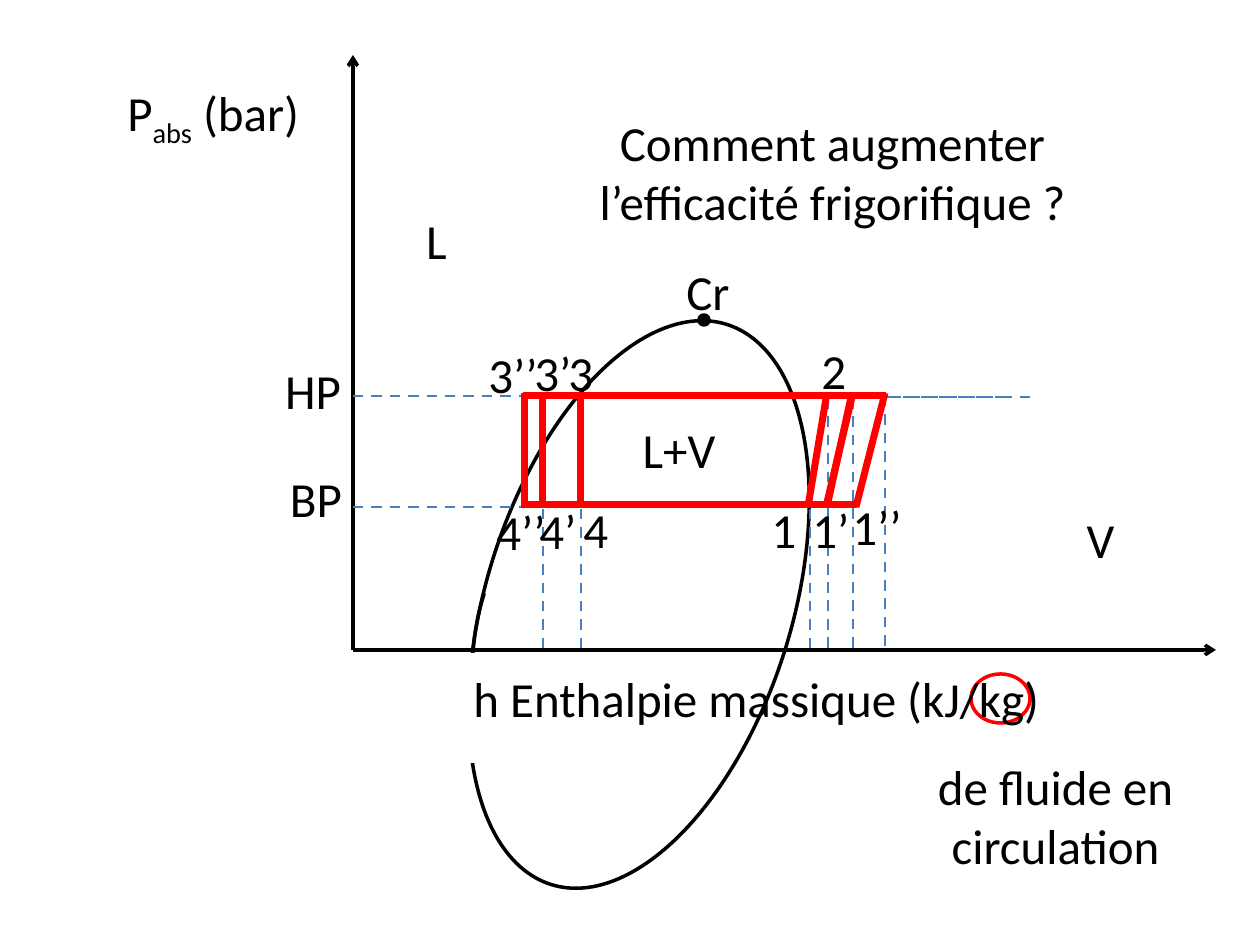
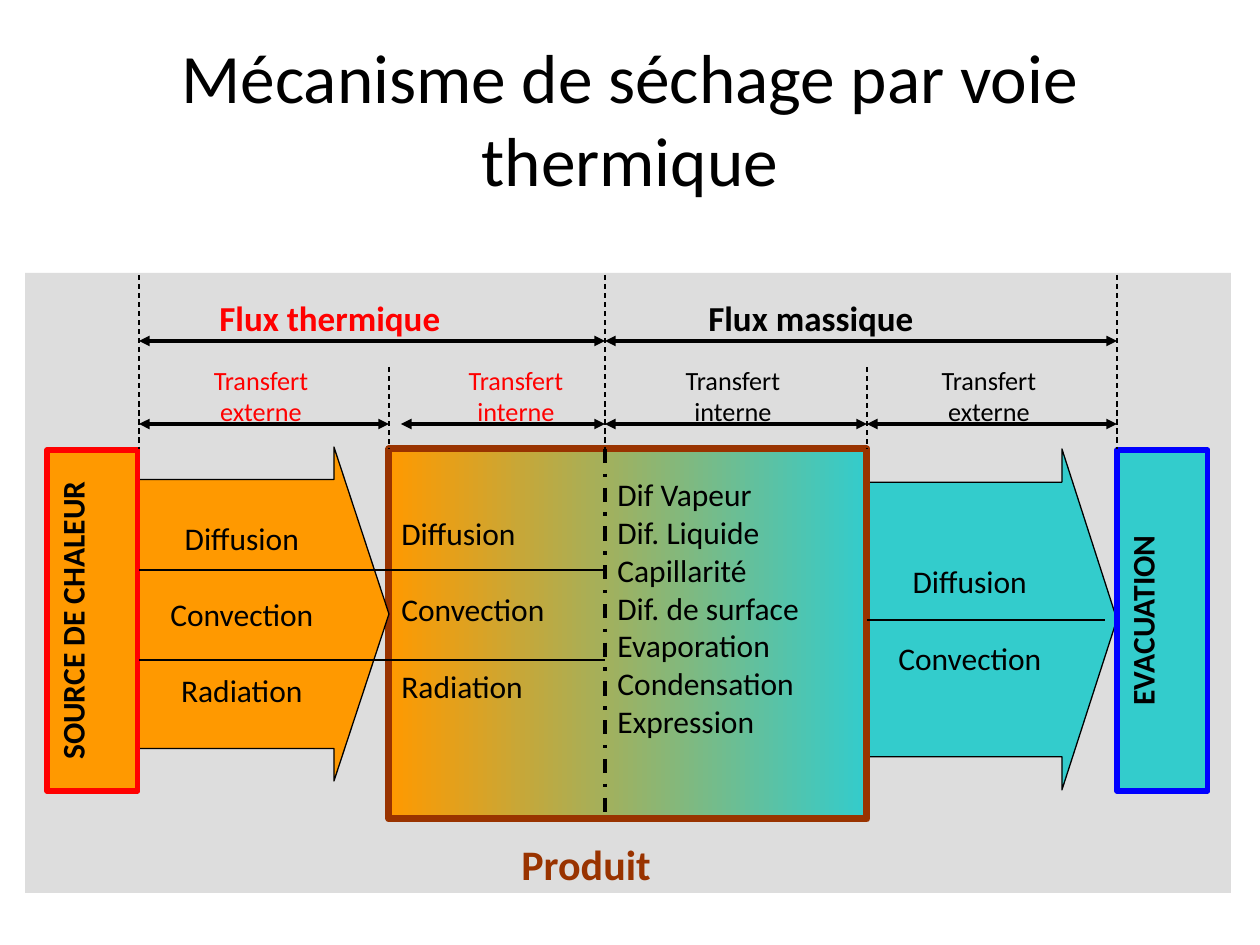
from lxml.etree import SubElement
from pptx import Presentation
from pptx.dml.color import RGBColor
from pptx.enum.dml import MSO_LINE
from pptx.enum.shapes import MSO_CONNECTOR, MSO_SHAPE
from pptx.enum.text import MSO_ANCHOR, MSO_AUTO_SIZE, PP_ALIGN
from pptx.oxml.ns import qn
from pptx.util import Inches, Pt

PX = 7257  # EMU in one px, at 126 px to the inch
FONT = "Calibri"
BLACK, WHITE, RED = "000000", "FFFFFF", "FF0000"
BLUE, GREY, BROWN = "4B7EBC", "DDDDDD", "993300"
ORANGE, TURQUOISE, DEEP_BLUE = "FF9900", "33CCCC", "0000FF"
LEFT, CENTER = PP_ALIGN.LEFT, PP_ALIGN.CENTER
color = RGBColor.from_string


def write(shape, lines, size, ink=BLACK, bold=False, align=LEFT,
          anchor=MSO_ANCHOR.TOP, wrap=True, gap=0):
    """Fill a shape with paragraphs; text between underscores is a subscript."""
    frame = shape.text_frame
    frame.word_wrap = wrap
    frame.auto_size = MSO_AUTO_SIZE.NONE
    frame.vertical_anchor = anchor
    for number, line in enumerate(lines):
        para = frame.add_paragraph() if number else frame.paragraphs[0]
        para.alignment = align
        para.space_before = Pt(gap if number else 0)
        for index, piece in enumerate(line.split("_")):
            span = para.add_run()
            span.text = piece
            span.font.name = FONT
            span.font.size = Pt(size)
            span.font.bold = bold
            span.font.color.rgb = color(ink)
            if index % 2:
                span.font._element.set("baseline", "-25000")


def draw_line(page, start, end, ink, width, dash=None, head=None, tail=None):
    points = [PX * value for value in (*start, *end)]
    connector = page.shapes.add_connector(MSO_CONNECTOR.STRAIGHT, *points)
    connector.line.color.rgb = color(ink)
    connector.line.width = Pt(width)
    if dash:
        connector.line.dash_style = dash
    for tag, kind in (("a:headEnd", head), ("a:tailEnd", tail)):
        if kind:
            SubElement(connector.get_or_add_ln(), qn(tag)).set("type", kind)
    SubElement(connector._element.spPr, qn("a:effectLst"))


deck = Presentation()
deck.slide_width = Inches(10)
deck.slide_height = Inches(7.5)

# Slide 1: pressure-enthalpy diagram
page = deck.slides.add_slide(deck.slide_layouts[6])
AXIS_X, AXIS_Y = 353, 650
HP_Y, BP_Y = 396, 505

draw_line(page, (885, HP_Y), (885, AXIS_Y), BLUE, 1.5, MSO_LINE.DASH)

# kind, position, rotation, fill, outline
diagram_shapes = [
    (MSO_SHAPE.OVAL, (486, 311, 306, 587), 17.4, None, BLACK),
    (MSO_SHAPE.ARC, (415, 544, 273, 141), 287.5, None, BLACK),
    (MSO_SHAPE.RECTANGLE, (422, 653, 110, 110), 0, WHITE, None),
    (MSO_SHAPE.OVAL, (699, 315, 10, 10), 0, BLACK, BLACK),
    (MSO_SHAPE.OVAL, (971, 674, 59, 49), 0, None, RED),
]
for kind, at, rotation, fill, outline in diagram_shapes:
    shape = page.shapes.add_shape(kind, *(PX * value for value in at))
    shape.shadow.inherit = False
    shape.rotation = rotation
    if kind == MSO_SHAPE.ARC:
        shape.adjustments[0] = 108
        shape.adjustments[1] = 162
    if fill:
        shape.fill.solid()
        shape.fill.fore_color.rgb = color(fill)
    else:
        shape.fill.background()
    if outline:
        shape.line.color.rgb = color(outline)
        shape.line.width = Pt(2)
    else:
        shape.line.fill.background()

draw_line(page, (AXIS_X, AXIS_Y), (1216, AXIS_Y), BLACK, 2, tail="arrow")
draw_line(page, (AXIS_X, AXIS_Y), (AXIS_X, 55), BLACK, 2, tail="arrow")

guides = [((AXIS_X, y), (x, y)) for y in (HP_Y, BP_Y + 2) for x in (581, 530)]
guides += [((x, HP_Y + 1), (x + 179, HP_Y + 1)) for x in (829, 854)]
guides += [((x, HP_Y + 2), (x, AXIS_Y)) for x in (828, 853)]
guides += [((x, BP_Y + 4), (x, AXIS_Y)) for x in (543, 581, 810, 828)]
for start, end in guides:
    draw_line(page, start, end, BLUE, 1.5, MSO_LINE.DASH)

cycles = [(581, 827, 808), (581, 853, 826), (543, 852, 827), (525, 885, 856)]
for left, outlet, inlet in cycles:
    draw_line(page, (left - 2, HP_Y), (outlet + 1, HP_Y), RED, 4)
    draw_line(page, (left - 2, BP_Y), (inlet + 1, BP_Y), RED, 4)
    draw_line(page, (left, HP_Y - 3), (left, BP_Y + 3), RED, 4)
    draw_line(page, (outlet, HP_Y - 3), (inlet, BP_Y + 2), RED, 4)

diagram_labels = [
    ("P_abs_ (bar)", (115, 76, 228, 72), LEFT),
    ("h Enthalpie massique (kJ/kg)", (461, 662, 625, 72), LEFT),
    ("L+V", (620, 413, 118, 72), CENTER),
    ("L", (402, 204, 69, 72), CENTER),
    ("V", (1066, 503, 69, 72), CENTER),
    ("HP", (263, 354, 100, 72), CENTER),
    ("BP", (266, 462, 100, 72), CENTER),
    ("Cr", (674, 255, 69, 72), LEFT),
    ("Comment augmenter l’efficacité frigorifique ?", (520, 106, 625, 131), CENTER),
    ("de fluide en circulation", (907, 750, 297, 131), CENTER),
    ("1", (759, 493, 49, 72), LEFT),
    ("1’", (800, 493, 69, 72), LEFT),
    ("1’’", (840, 490, 79, 72), LEFT),
    ("2", (809, 334, 49, 72), LEFT),
    ("3", (556, 336, 49, 72), LEFT),
    ("3’", (522, 336, 69, 72), LEFT),
    ("3’’", (476, 338, 79, 72), LEFT),
    ("4", (571, 493, 49, 72), LEFT),
    ("4’", (527, 494, 68, 72), LEFT),
    ("4’’", (484, 495, 89, 72), LEFT),
]
for label, at, align in diagram_labels:
    box = page.shapes.add_textbox(*(PX * value for value in at))
    write(box, [label], 28, align=align)

# Slide 2: drying mechanism
page = deck.slides.add_slide(deck.slide_layouts[5])
title = page.shapes.title
title.left, title.top, title.width, title.height = (
    PX * value for value in (63, 38, 1134, 158))
write(title, ["Mécanisme de séchage par voie thermique"], 39.6,
      align=CENTER, anchor=MSO_ANCHOR.MIDDLE)

SOURCE_X, PRODUCT_X, MIDDLE_X, EXIT_X, EVACUATION_X = 139, 389, 605, 867, 1117
PRODUCT_Y = 449
LINE_GAP = 22
modes = ["Diffusion", "Convection", "Radiation"]

# kind, position, rotation, fill, outline, outline width, words
blocks = [
    (MSO_SHAPE.RECTANGLE, (25, 273, 1206, 620), 0, GREY, None, 0, []),
    (MSO_SHAPE.RIGHT_ARROW, (EXIT_X, 449, 250, 341), 0, TURQUOISE, BLACK, 0.75, modes[:2]),
    (MSO_SHAPE.RECTANGLE, (PRODUCT_X, PRODUCT_Y, 478, 370), 0, None, BROWN, 4, []),
    (MSO_SHAPE.RECTANGLE, (992, 575, 341, 91), 270, TURQUOISE, DEEP_BLUE, 3, ["EVACUATION"]),
    (MSO_SHAPE.RIGHT_ARROW, (SOURCE_X, 447, 250, 334), 0, ORANGE, BLACK, 0.75, modes),
    (MSO_SHAPE.RECTANGLE, (-78, 575, 341, 91), 270, ORANGE, RED, 3, ["SOURCE DE CHALEUR"]),
]
for kind, at, rotation, fill, outline, width, words in blocks:
    shape = page.shapes.add_shape(kind, *(PX * value for value in at))
    shape.shadow.inherit = False
    shape.rotation = rotation
    if fill:
        shape.fill.solid()
        shape.fill.fore_color.rgb = color(fill)
    else:
        shape.fill.gradient()
        shape.fill.gradient_angle = 0
        for stop, position, tint in zip(shape.fill.gradient_stops, (0, 1), (ORANGE, TURQUOISE)):
            stop.position = position
            stop.color.rgb = color(tint)
    if outline:
        shape.line.color.rgb = color(outline)
        shape.line.width = Pt(width)
    else:
        shape.line.fill.background()
    if kind == MSO_SHAPE.RIGHT_ARROW:
        shape.adjustments[0] = 0.805
        shape.adjustments[1] = 0.22
        write(shape, words, 18, align=CENTER, anchor=MSO_ANCHOR.MIDDLE,
              wrap=False, gap=LINE_GAP)
    elif words:
        write(shape, words, 18, bold=True, align=CENTER)

draw_line(page, (MIDDLE_X, PRODUCT_Y), (MIDDLE_X, 819), BLACK, 2, MSO_LINE.DASH_DOT)
for x, top in ((SOURCE_X, 275), (MIDDLE_X, 275), (EVACUATION_X, 275),
               (PRODUCT_X, 367), (EXIT_X, 367)):
    draw_line(page, (x, top), (x, PRODUCT_Y), BLACK, 0.75, MSO_LINE.DASH)
for start, end, y in ((SOURCE_X, MIDDLE_X, 341), (MIDDLE_X, EVACUATION_X, 341),
                      (SOURCE_X, PRODUCT_X, 424), (PRODUCT_X + 12, MIDDLE_X, 424),
                      (MIDDLE_X, EXIT_X, 424), (EXIT_X, EVACUATION_X, 424)):
    draw_line(page, (start, y), (end, y), BLACK, 2, head="triangle", tail="triangle")
for start, end, y in ((SOURCE_X, MIDDLE_X, 570), (SOURCE_X, MIDDLE_X, 660),
                      (EXIT_X, 1105, 620)):
    draw_line(page, (start, y), (end, y), BLACK, 0.75)

mass_modes = ["Dif Vapeur", "Dif. Liquide", "Capillarité", "Dif. de surface",
              "Evaporation", "Condensation", "Expression"]
inner, outer = ["Transfert", "interne"], ["Transfert", "externe"]
# lines, position, size, colour, bold, alignment, gap
flow_labels = [
    (["Produit"], (509, 832, 173, 63), 24, BROWN, True, LEFT, 0),
    (mass_modes, (MIDDLE_X, 469, 262, 321), 18, BLACK, False, LEFT, 0),
    (modes, (PRODUCT_X, 508, 217, 243), 18, BLACK, False, LEFT, LINE_GAP),
    (["Flux thermique"], (207, 290, 276, 54), 20, RED, True, LEFT, 0),
    (["Flux massique"], (696, 290, 268, 54), 20, BLACK, True, LEFT, 0),
    (outer, (150, 358, 222, 76), 15, RED, False, CENTER, 0),
    (inner, (428, 358, 176, 76), 15, RED, False, CENTER, 0),
    (inner, (622, 358, 222, 76), 15, BLACK, False, CENTER, 0),
    (outer, (901, 358, 176, 76), 15, BLACK, False, CENTER, 0),
]
for lines, at, size, ink, bold, align, gap in flow_labels:
    box = page.shapes.add_textbox(*(PX * value for value in at))
    write(box, lines, size, ink, bold, align, gap=gap)

deck.save("out.pptx")
